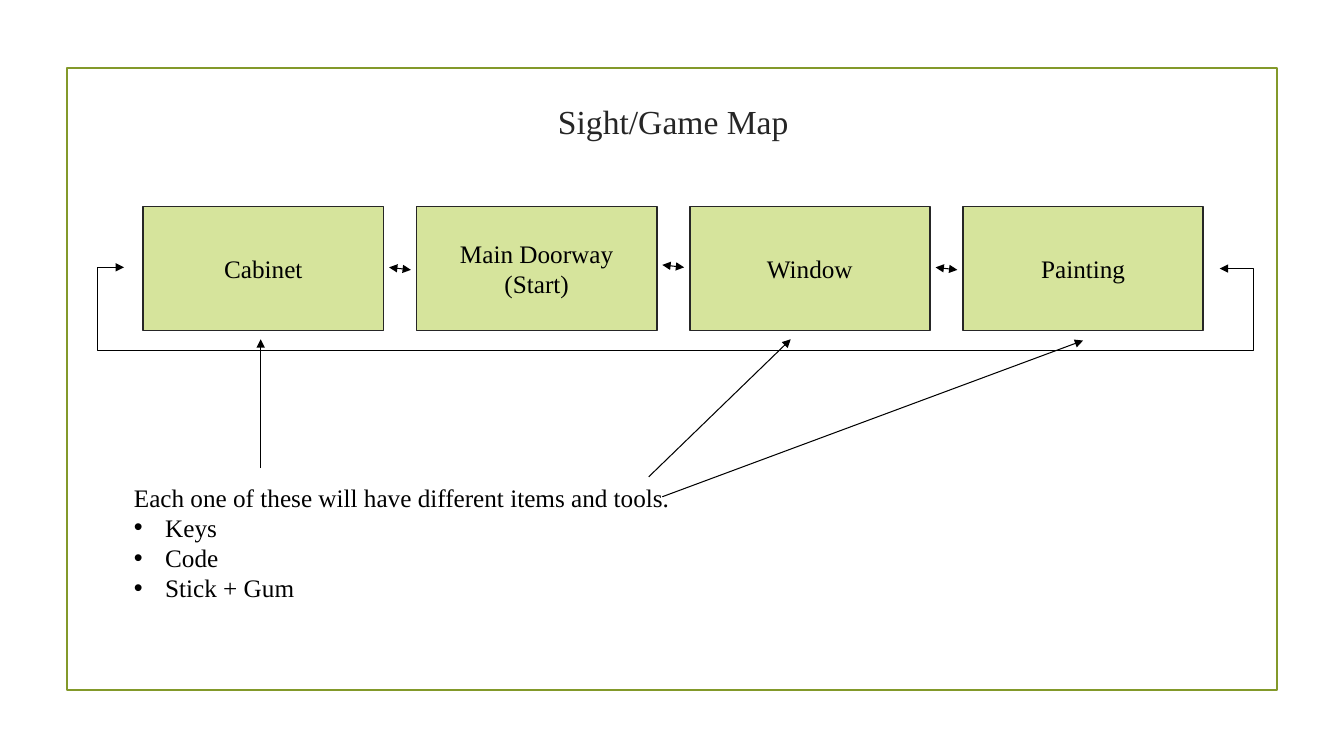
"""Build the Sight/Game Map slide: four linked rooms and the items found in them."""
from dataclasses import dataclass

from lxml.etree import SubElement
from pptx import Presentation
from pptx.dml.color import RGBColor
from pptx.enum.shapes import MSO_CONNECTOR as Conn, MSO_SHAPE as Shape
from pptx.enum.text import MSO_ANCHOR as Anchor, PP_ALIGN as Align
from pptx.oxml.ns import qn
from pptx.util import Inches, Pt

FONT = "Times New Roman"
BLACK = RGBColor(0x00, 0x00, 0x00)
DARK = RGBColor(0x26, 0x26, 0x26)
GREEN = RGBColor(0xD6, 0xE4, 0x9C)
OLIVE = RGBColor(0x83, 0x99, 0x2A)

LEFT, TOP = 1.42, 2.05
COL, ROW = 2.71, 1.23
ROOM_WIDTH = 0.88


@dataclass(frozen=True)
class Area:
    col: float
    row: float
    cols: float
    rows: float

    def box(self) -> tuple:
        return (x(self.col), y(self.row),
                Inches(self.cols * COL), Inches(self.rows * ROW))


@dataclass(frozen=True)
class Arrow:
    start: tuple[float, float]
    end: tuple[float, float]
    both: bool = False
    bend: int | None = None


FRAME = Area(-0.28, -1.12, 4.43, 5.02)
TITLE = Area(0, -0.99, 3.88, 0.5)
NOTES = Area(-0.07, 2.18, 2.28, 1.07)

ROOMS = ["Cabinet", "Main Doorway\n(Start)", "Window", "Painting"]
LEAD = "Each one of these will have different items and tools."
ITEMS = ["Keys", "Code", "Stick + Gum"]

GAP_ROWS = [0.49, 0.47, 0.49]
GAP_ARROWS = [Arrow((i + 0.9, row), (i + 0.98, row + 0.02), both=True)
              for i, row in enumerate(GAP_ROWS)]
LOOP_ARROWS = [
    Arrow((1.93, 1.16), (3.94, 0.5), bend=106100),
    Arrow((1.93, 1.16), (-0.07, 0.49), bend=104900),
]
ITEM_ARROWS = [
    Arrow((0.43, 2.11), (0.43, 1.07)),
    Arrow((1.9, 2.34), (3.44, 1.08)),
    Arrow((1.85, 2.18), (2.37, 1.07)),
]


def x(col: float) -> int:
    return Inches(LEFT + col * COL)


def y(row: float) -> int:
    return Inches(TOP + row * ROW)


def style_text(tf, size: int, color: RGBColor, align: Align, anchor: Anchor) -> None:
    tf.word_wrap = True
    tf.vertical_anchor = anchor
    for p in tf.paragraphs:
        p.alignment = align
        for r in p.runs:
            r.font.name = FONT
            r.font.size = Pt(size)
            r.font.color.rgb = color


def add_rect(s, area: Area, line: RGBColor, fill: RGBColor | None = None):
    sp = s.shapes.add_shape(Shape.RECTANGLE, *area.box())
    sp.shadow.inherit = False
    if fill is None:
        sp.fill.background()
    else:
        sp.fill.solid()
        sp.fill.fore_color.rgb = fill
    sp.line.color.rgb = line
    sp.line.width = Pt(1.25)
    return sp


def add_room(s, index: int, name: str) -> None:
    sp = add_rect(s, Area(index, 0, ROOM_WIDTH, 1), DARK, GREEN)
    sp.text_frame.text = name
    style_text(sp.text_frame, 18, BLACK, Align.CENTER, Anchor.MIDDLE)


def add_arrow(s, arrow: Arrow) -> None:
    kind = Conn.STRAIGHT if arrow.bend is None else Conn.ELBOW
    (c1, r1), (c2, r2) = arrow.start, arrow.end
    cx = s.shapes.add_connector(kind, x(c1), y(r1), x(c2), y(r2))
    cx.line.color.rgb = BLACK
    cx.line.width = Pt(0.75)
    ln = cx.line._get_or_add_ln()
    for tag in ["a:headEnd", "a:tailEnd"] if arrow.both else ["a:tailEnd"]:
        SubElement(ln, qn(tag), type="triangle")
    spPr = cx._element.spPr
    SubElement(spPr, qn("a:effectLst"))
    if arrow.bend is not None:
        guides = spPr.find(qn("a:prstGeom")).get_or_add_avLst()
        SubElement(guides, qn("a:gd"), name="adj1", fmla=f"val {arrow.bend}")


def add_title(s) -> None:
    tf = s.shapes.add_textbox(*TITLE.box()).text_frame
    tf.text = "Sight/Game Map"
    style_text(tf, 24, DARK, Align.CENTER, Anchor.BOTTOM)


def add_notes(s) -> None:
    tf = s.shapes.add_textbox(*NOTES.box()).text_frame
    tf.text = "\n".join([LEAD, *ITEMS])
    style_text(tf, 18, BLACK, Align.LEFT, Anchor.TOP)
    for p in tf.paragraphs[1:]:
        pPr = p._p.get_or_add_pPr()
        pPr.set("marL", str(Inches(0.31)))
        pPr.set("indent", str(-Inches(0.31)))
        SubElement(pPr, qn("a:buFont"), typeface="Arial")
        SubElement(pPr, qn("a:buChar"), char="•")


def main() -> None:
    prs = Presentation()
    prs.slide_width, prs.slide_height = Inches(13.33), Inches(7.5)
    s = prs.slides.add_slide(prs.slide_layouts[6])
    add_rect(s, FRAME, OLIVE)
    add_title(s)
    for i, name in enumerate(ROOMS):
        add_room(s, i, name)
    add_notes(s)
    for arrow in GAP_ARROWS + LOOP_ARROWS + ITEM_ARROWS:
        add_arrow(s, arrow)
    prs.save("out.pptx")


if __name__ == "__main__":
    main()
